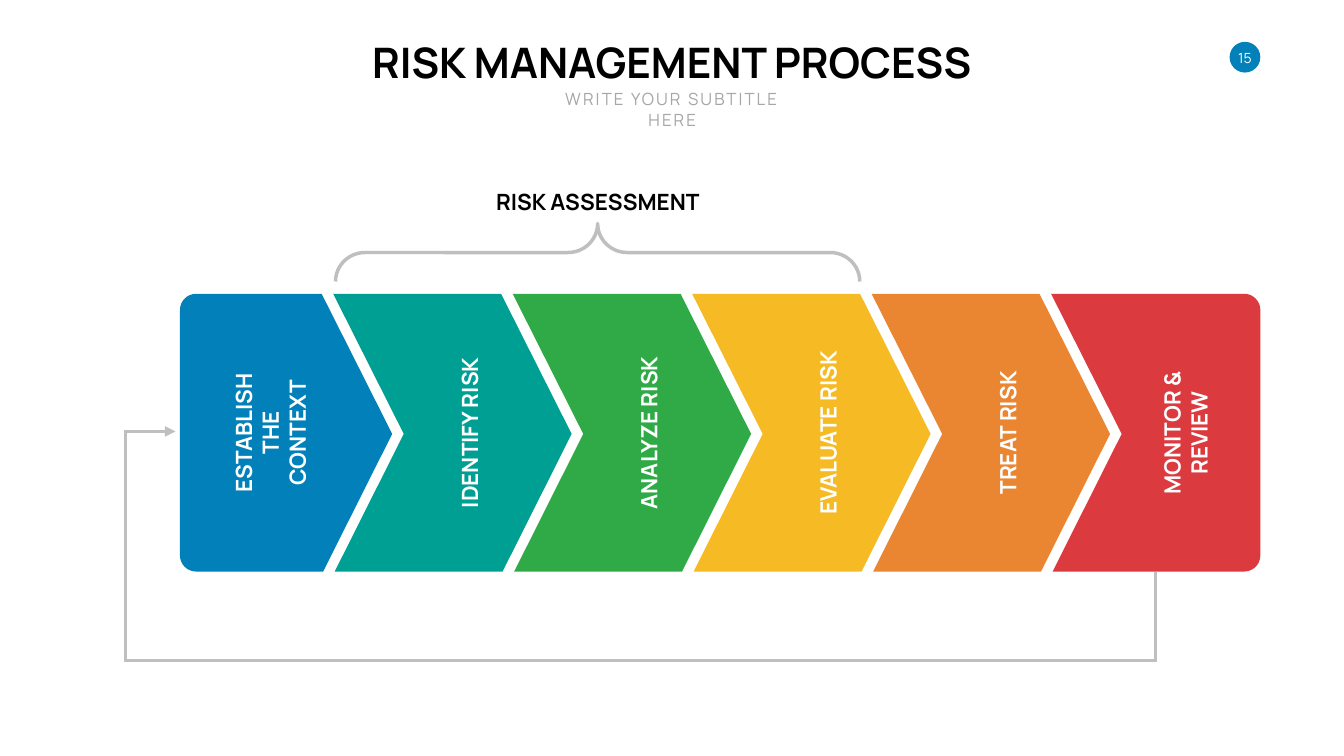
import math

import lxml.etree
import pptx
import pptx.dml.color
import pptx.enum.shapes
import pptx.enum.text
import pptx.oxml.ns
import pptx.util

PX = 9144
SHAPE = pptx.enum.shapes.MSO_SHAPE
ANCHOR = pptx.enum.text.MSO_ANCHOR

THEME = {
    "font": "Manrope",
    "ink": "000000", "white": "FFFFFF", "muted": "A6A6A6", "rule": "BFBFBF",
    "blue": "0180B9", "teal": "009F94", "green": "2FAA46",
    "yellow": "F6BB24", "orange": "EA8632", "red": "DB3A3E",
    "title": 60, "label": 32, "subtitle": 24, "number": 20, "stroke": 5,
}


def color(name):
    return pptx.dml.color.RGBColor.from_string(THEME[name])


def add_text(box, lines, size, ink, bold=False, anchor=ANCHOR.TOP, wrap=False, spacing=0, inset=True):
    holder = slide.shapes.add_textbox(*[v * PX for v in box])
    frame = holder.text_frame
    frame.word_wrap = wrap
    frame.vertical_anchor = anchor
    if not inset:
        frame.margin_left = frame.margin_right = frame.margin_top = frame.margin_bottom = 0
    for index, line in enumerate(lines):
        paragraph = frame.add_paragraph() if index else frame.paragraphs[0]
        paragraph.alignment = pptx.enum.text.PP_ALIGN.CENTER
        run = paragraph.add_run()
        run.text = line
        run.font.name = THEME["font"]
        run.font.size = pptx.util.Pt(THEME[size])
        run.font.bold = bold
        run.font.color.rgb = color(ink)
        if spacing:
            run.font._element.set("spc", str(spacing * 100))
    return holder


def corner(cx, cy, start):
    angles = [math.radians(start + 90 * step / 12) for step in range(13)]
    return [(cx + RADIUS * math.cos(a), cy + RADIUS * math.sin(a)) for a in angles]


deck = pptx.Presentation()
deck.slide_width, deck.slide_height = 2666 * PX, 1500 * PX
slide = deck.slides.add_slide(deck.slide_layouts[6])

badge = slide.shapes.add_shape(SHAPE.OVAL, 2439 * PX, 83 * PX, 61 * PX, 61 * PX)
badge.shadow.inherit = False
badge.fill.solid()
badge.fill.fore_color.rgb = color("blue")
badge.line.fill.background()
add_text((2449, 97, 41, 34), ["15"], "number", "white", anchor=ANCHOR.MIDDLE, inset=False)

add_text((711, 67, 1243, 111), ["RISK MANAGEMENT PROCESS"], "title", "ink", bold=True)
add_text((1062, 172, 543, 50), ["WRITE YOUR SUBTITLE HERE"], "subtitle", "muted", wrap=True, spacing=3)

TOP, TIP, BOTTOM = 583, 861, 1134
LEFT, RIGHT, RADIUS = 357, 2500, 32
FIRST_NOTCH, PITCH = 661, 356

steps = [
    ("blue", ["ESTABLISH THE", "CONTEXT"], 535, 349, 118),
    ("teal", ["IDENTIFY RISK"], 930, 329, 64),
    ("green", ["ANALYZE RISK"], 1286, 334, 64),
    ("yellow", ["EVALUATE RISK"], 1642, 358, 64),
    ("orange", ["TREAT RISK"], 1998, 271, 64),
    ("red", ["MONITOR &", "REVIEW"], 2351, 280, 118),
]

for index, (fill, lines, center, length, depth) in enumerate(steps):
    x = FIRST_NOTCH + PITCH * (index - 1)
    point_side = [(x + 333, TOP), (x + 473, TIP), (x + 336, BOTTOM)]
    notch_side = [(x + 3, BOTTOM), (x + 140, TIP), (x, TOP)]
    if index == 0:
        notch_side = corner(LEFT + RADIUS, BOTTOM - RADIUS, 90) + corner(LEFT + RADIUS, TOP + RADIUS, 180)
    if index == len(steps) - 1:
        point_side = corner(RIGHT - RADIUS, TOP + RADIUS, 270) + corner(RIGHT - RADIUS, BOTTOM - RADIUS, 0)
    outline = [(round(px * PX), round(py * PX)) for px, py in point_side + notch_side]
    builder = slide.shapes.build_freeform(*outline[0])
    builder.add_line_segments(outline[1:], close=True)
    arrow = builder.convert_to_shape()
    arrow.shadow.inherit = False
    arrow.fill.solid()
    arrow.fill.fore_color.rgb = color(fill)
    arrow.line.fill.background()

for fill, lines, center, length, depth in steps:
    box = (center - length // 2, 859 - depth // 2, length, depth)
    label = add_text(box, lines, "label", "white", bold=True, anchor=ANCHOR.MIDDLE, wrap=len(lines) > 1)
    label.rotation = 270

brace = slide.shapes.add_shape(SHAPE.RIGHT_BRACE, 1128 * PX, -19 * PX, 115 * PX, 1040 * PX)
brace.rotation = 270
brace.adjustments[0] = 0.51
brace.adjustments[1] = 0.5
brace.shadow.inherit = False
brace.fill.background()
brace.line.color.rgb = color("rule")
brace.line.width = pptx.util.Pt(THEME["stroke"])
add_text((974, 368, 424, 64), ["RISK ASSESSMENT"], "label", "ink", bold=True, anchor=ANCHOR.BOTTOM)

feedback_loop = [
    (2292, BOTTOM, 2292, 1311),
    (2295, 1311, 245, 1311),
    (249, 1311, 249, 856),
    (245, 856, 348, 856),
]
for ends in feedback_loop:
    segment = slide.shapes.add_connector(pptx.enum.shapes.MSO_CONNECTOR.STRAIGHT, *[v * PX for v in ends])
    segment.line.color.rgb = color("rule")
    segment.line.width = pptx.util.Pt(THEME["stroke"])
    lxml.etree.SubElement(segment._element.spPr, pptx.oxml.ns.qn("a:effectLst"))
arrowhead = lxml.etree.SubElement(segment.line._get_or_add_ln(), pptx.oxml.ns.qn("a:tailEnd"))
arrowhead.set("type", "triangle")

deck.save("out.pptx")
